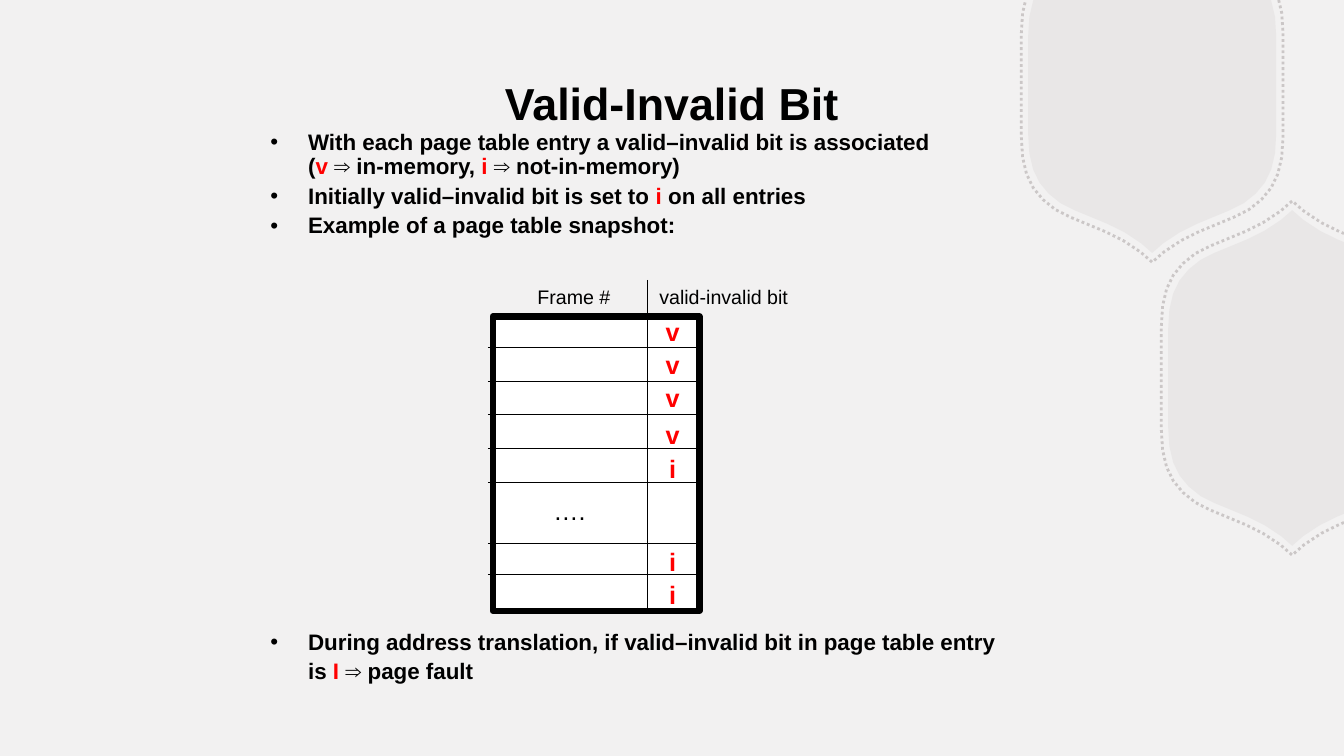
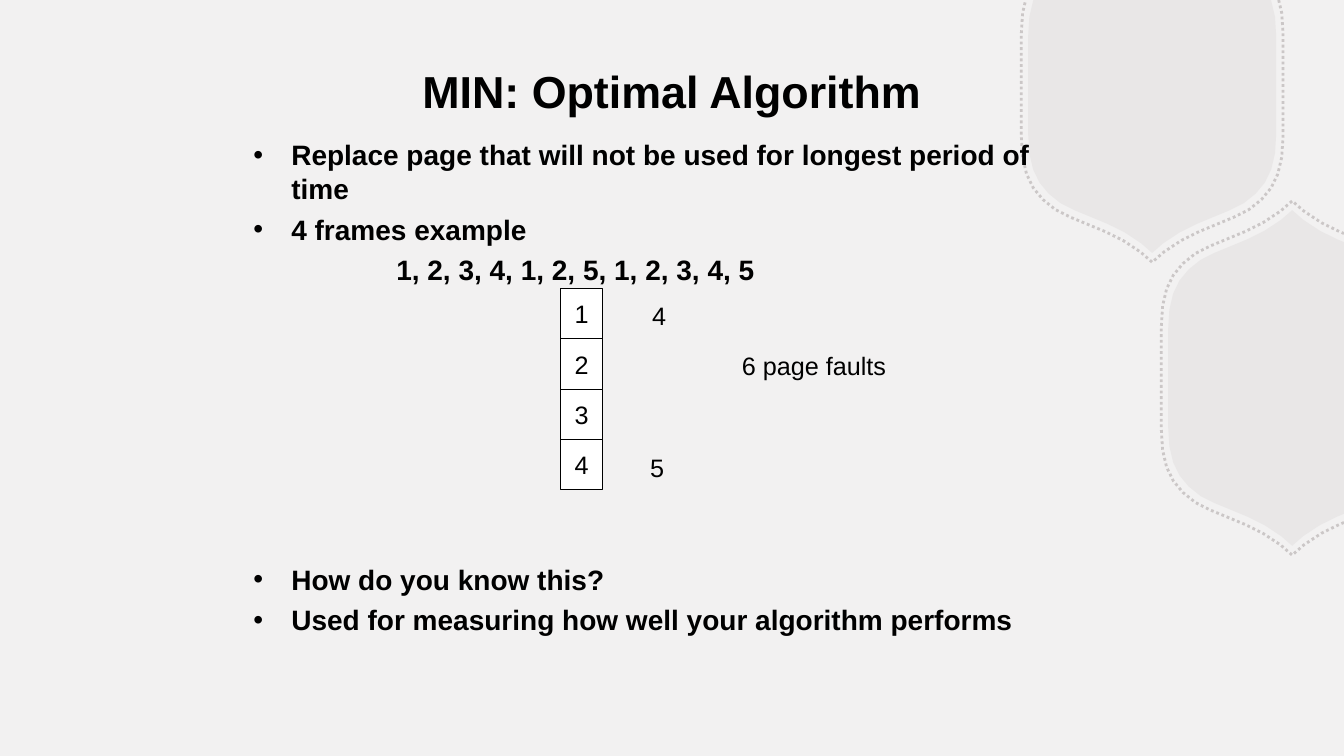
from dataclasses import dataclass
from itertools import accumulate
from typing import NamedTuple

from lxml.etree import SubElement
from pptx import Presentation
from pptx.dml.color import RGBColor
from pptx.enum.dml import MSO_LINE
from pptx.enum.shapes import MSO_CONNECTOR, MSO_SHAPE
from pptx.enum.text import MSO_ANCHOR, PP_ALIGN
from pptx.oxml.ns import qn
from pptx.util import Pt

PAGE_WIDTH = 960
PAGE_HEIGHT = 540
FONT = "Arial"
BACKGROUND = RGBColor(0xF2, 0xF1, 0xF1)
HEXAGON_COLOR = RGBColor(0xB8, 0xB2, 0xB2)
BLACK = RGBColor(0, 0, 0)
WHITE = RGBColor(0xFF, 0xFF, 0xFF)
RED = RGBColor(0xFF, 0, 0)

HEXAGON_HALF_HEIGHT = 119.9
HEXAGON_CENTERS = ((823, 60.8), (923, 270))
HEXAGON_CURVES = (
    ((-7.9, -6.9), (-27.4, -22), (-49, -25.9), (-65.5, -35.6)),
    ((-65.5, -35.6), (-81.4, -46.4), (-88.6, -59.4), (-88.6, -85)),
)
CURVE_STEPS = 5
DOTTED_SCALE = 1.055

TABLE_LEFT = 352
TABLE_TOP = 226
TABLE_WIDTH = 147.6
MARK_CENTER = 480.4
FRAME_LEFT = 400.4
FRAME_TOP = 206
FRAME_WIDTH = 30
FRAME_HEIGHT = 36


class Point(NamedTuple):
    x: float
    y: float


class Area(NamedTuple):
    left: float
    top: float
    width: float
    height: float


class Span(NamedTuple):
    text: str
    color: RGBColor = BLACK
    new_line: bool = False


class Row(NamedTuple):
    height: float
    mark: str = ""
    mark_top: float = 0


@dataclass(frozen=True)
class Item:
    spans: tuple[Span, ...]
    bullet: bool = True
    margin: float = 27


@dataclass(frozen=True)
class ListStyle:
    size: float
    space_before: float
    line_spacing: float


@dataclass(frozen=True)
class Label:
    text: str
    area: Area
    size: float = 18
    color: RGBColor = BLACK
    bold: bool = False


COMPACT = ListStyle(16, 4, 0.9)
REGULAR = ListStyle(20, 5, 1.0)

ROWS = (
    Row(22.4, "v", 222),
    Row(24, "v", 245.6),
    Row(24, "v", 269.4),
    Row(24, "v", 295.2),
    Row(24, "i", 319.6),
    Row(44),
    Row(22, "i", 386),
    Row(26, "i", 409.7),
)


def add_span(para, span: Span, size: float, bold: bool) -> None:
    if span.new_line:
        para.add_line_break()
    run = para.add_run()
    run.text = span.text
    run.font.name = FONT
    run.font.size = Pt(size)
    run.font.bold = bold
    run.font.color.rgb = span.color


def write_label(shape, label: Label) -> None:
    frame = shape.text_frame
    frame.word_wrap = False
    frame.vertical_anchor = MSO_ANCHOR.MIDDLE
    para = frame.paragraphs[0]
    para.alignment = PP_ALIGN.CENTER
    add_span(para, Span(label.text, label.color), label.size, label.bold)


def add_label(page, label: Label) -> None:
    write_label(page.shapes.add_textbox(*map(Pt, label.area)), label)


def add_title(page, text: str, top: float) -> None:
    add_label(page, Label(text, Area(174, top, 612, 90), 32, bold=True))


def add_list(page, area: Area, style: ListStyle, items: tuple[Item, ...]) -> None:
    frame = page.shapes.add_textbox(*map(Pt, area)).text_frame
    frame.word_wrap = True
    for index, item in enumerate(items):
        para = frame.add_paragraph() if index else frame.paragraphs[0]
        properties = para._p.get_or_add_pPr()
        properties.set("marL", str(Pt(item.margin)))
        properties.set("indent", str(Pt(-item.margin if item.bullet else 0)))
        if item.bullet:
            SubElement(properties, qn("a:buFont")).set("typeface", FONT)
            SubElement(properties, qn("a:buChar")).set("char", "•")
        else:
            SubElement(properties, qn("a:buNone"))
        para.line_spacing = style.line_spacing
        if index:
            para.space_before = Pt(style.space_before)
        for span in item.spans:
            add_span(para, span, style.size, True)


def add_rectangle(page, area: Area, line_width: float):
    shape = page.shapes.add_shape(MSO_SHAPE.RECTANGLE, *map(Pt, area))
    shape.shadow.inherit = False
    shape.fill.solid()
    shape.fill.fore_color.rgb = WHITE
    shape.line.color.rgb = BLACK
    shape.line.width = Pt(line_width)
    return shape


def add_rule(page, start: Point, end: Point) -> None:
    rule = page.shapes.add_connector(
        MSO_CONNECTOR.STRAIGHT, *map(Pt, (*start, *end))
    )
    rule.line.color.rgb = BLACK
    rule.line.width = Pt(0.75)
    SubElement(rule.element.spPr, qn("a:effectLst"))


def curve_point(curve, step: float) -> Point:
    rest = 1 - step
    weights = (rest**3, 3 * rest**2 * step, 3 * rest * step**2, step**3)
    return Point(
        *(sum(w * p[axis] for w, p in zip(weights, curve)) for axis in (0, 1))
    )


def is_inside(point: Point) -> bool:
    return point.x <= PAGE_WIDTH and point.y >= 0


def edge_crossing(inner: Point, outer: Point) -> Point:
    if outer.y < 0:
        share = inner.y / (inner.y - outer.y)
    else:
        share = (PAGE_WIDTH - inner.x) / (outer.x - inner.x)
    return Point(
        inner.x + share * (outer.x - inner.x),
        inner.y + share * (outer.y - inner.y),
    )


def hexagon_outline(center: Point, scale: float) -> list[Point]:
    profile = [Point(0, 0), Point(*HEXAGON_CURVES[0][0])] + [
        curve_point(curve, step / CURVE_STEPS)
        for curve in HEXAGON_CURVES
        for step in range(1, CURVE_STEPS + 1)
    ]
    lower_left = [Point(x, y + HEXAGON_HALF_HEIGHT) for x, y in profile]
    left = lower_left + [Point(x, -y) for x, y in reversed(lower_left)]
    ring = left + [Point(-x, y) for x, y in reversed(left[1:-1])]
    ring = [Point(center.x + scale * x, center.y + scale * y) for x, y in ring]
    first = next(
        i for i, point in enumerate(ring)
        if is_inside(point) and not is_inside(ring[i - 1])
    )
    ring = ring[first:] + ring[:first]
    kept = [point for point in ring if is_inside(point)]
    start = edge_crossing(kept[0], ring[-1])
    end = edge_crossing(kept[-1], ring[len(kept)])
    return [start, *kept, end]


def add_hexagon(page, center: Point, dotted: bool):
    points = [
        (Pt(x), Pt(y))
        for x, y in hexagon_outline(center, DOTTED_SCALE if dotted else 1)
    ]
    builder = page.shapes.build_freeform(*points[0])
    builder.add_line_segments(points[1:], close=not dotted)
    shape = builder.convert_to_shape()
    shape.shadow.inherit = False
    if dotted:
        shape.fill.background()
        shape.line.color.rgb = HEXAGON_COLOR
        shape.line.width = Pt(2)
        shape.line.dash_style = MSO_LINE.ROUND_DOT
    else:
        shape.fill.solid()
        shape.fill.fore_color.rgb = HEXAGON_COLOR
        shape.line.fill.background()
    for color in shape.element.iter(qn("a:srgbClr")):
        SubElement(color, qn("a:alpha")).set("val", "65000" if dotted else "15000")
    return shape


def decorate_layout(layout, page) -> None:
    layout.background.fill.solid()
    layout.background.fill.fore_color.rgb = BACKGROUND
    for holder in list(layout.placeholders):
        layout.shapes.element.remove(holder.element)
    hexagons = [
        add_hexagon(page, Point(*center), dotted)
        for dotted in (False, True)
        for center in HEXAGON_CENTERS
    ]
    for hexagon in hexagons:
        layout.shapes.element.append(hexagon.element)


def draw_valid_bit(page) -> None:
    add_title(page, "Valid-Invalid Bit", 28)
    add_list(page, Area(186, 90, 570, 90), COMPACT, (
        Item((
            Span("With each page table entry a valid–invalid bit is associated"),
            Span("(", new_line=True), Span("v ", RED), Span("⇒ in-memory,"),
            Span(" i ", RED), Span("⇒ not-in-memory)"),
        )),
        Item((
            Span("Initially valid–invalid bit is set to"),
            Span(" i ", RED), Span("on all entries"),
        )),
        Item((Span("Example of a page table snapshot:"),)),
    ))
    add_list(page, Area(186, 447, 570, 50), COMPACT, (
        Item((Span(
            "During address translation, if valid–invalid bit in page table entry"
        ),)),
        Item((Span("is"), Span(" I ", RED), Span("⇒ page fault")), bullet=False),
    ))
    heights = [row.height for row in ROWS]
    add_rectangle(page, Area(TABLE_LEFT, TABLE_TOP, TABLE_WIDTH, sum(heights)), 4.5)
    for offset in list(accumulate(heights))[:-1]:
        y = TABLE_TOP + offset
        add_rule(page, Point(348.5, y), Point(498.2, y))
    add_rule(page, Point(462.5, 200), Point(462.5, 434))
    for row in ROWS:
        if row.mark:
            area = Area(MARK_CENTER - 12, row.mark_top, 24, 29.5)
            add_label(page, Label(row.mark, area, color=RED, bold=True))
    add_label(page, Label("….", Area(388, 350, 37.5, 29.5)))
    add_label(page, Label("Frame #", Area(376.5, 200, 67, 24.5), 14))
    add_label(page, Label("valid-invalid bit", Area(463.7, 200, 106.5, 24.5), 14))


def draw_optimal(page) -> None:
    add_title(page, "MIN: Optimal Algorithm", 20)
    add_list(page, Area(174, 95, 612, 112), REGULAR, (
        Item((Span("Replace page that will not be used for longest period of time"),)),
        Item((Span("4 frames example"),)),
        Item((Span("1, 2, 3, 4, 1, 2, 5, 1, 2, 3, 4, 5"),), bullet=False, margin=102),
    ))
    add_list(page, Area(174, 398, 612, 60), REGULAR, (
        Item((Span("How do you know this?"),)),
        Item((Span("Used for measuring how well your algorithm performs"),)),
    ))
    for index in range(4):
        top = FRAME_TOP + index * FRAME_HEIGHT
        area = Area(FRAME_LEFT, top, FRAME_WIDTH, FRAME_HEIGHT)
        write_label(add_rectangle(page, area, 0.75), Label(str(index + 1), area))
    add_label(page, Label("4", Area(458.5, 211, 24.5, 29)))
    add_label(page, Label("5", Area(457.2, 319, 24.5, 29.5)))
    add_label(page, Label("6 page faults", Area(522.7, 246.2, 117.4, 29)))


def main() -> None:
    deck = Presentation()
    deck.slide_width = Pt(PAGE_WIDTH)
    deck.slide_height = Pt(PAGE_HEIGHT)
    layout = deck.slide_layouts[6]
    pages = [deck.slides.add_slide(layout) for _ in range(2)]
    decorate_layout(layout, pages[0])
    draw_valid_bit(pages[0])
    draw_optimal(pages[1])
    deck.save("out.pptx")


if __name__ == "__main__":
    main()
